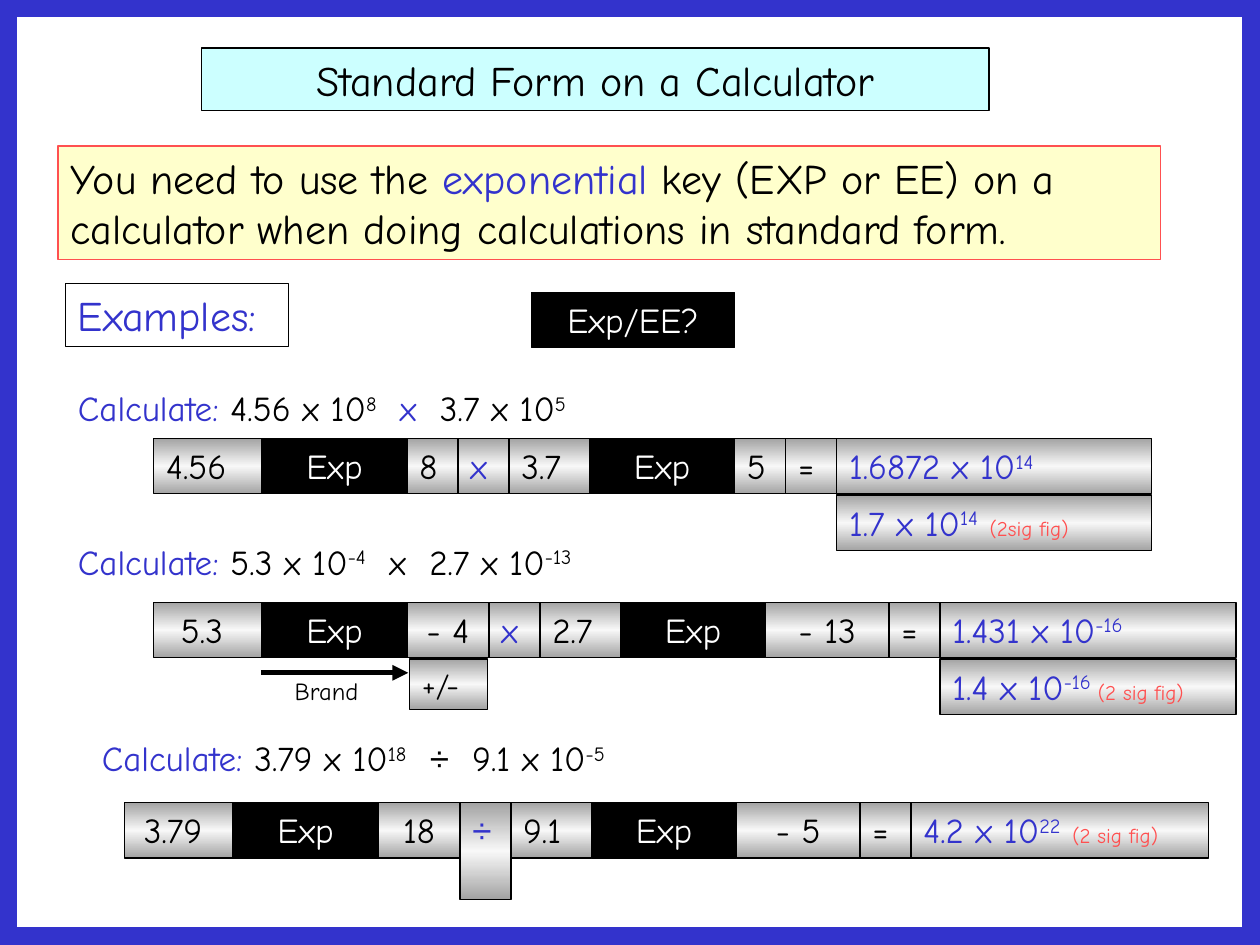
from copy import deepcopy
from typing import NamedTuple

from lxml import etree
from pptx import Presentation
from pptx.dml.color import RGBColor
from pptx.enum.shapes import MSO_CONNECTOR, MSO_SHAPE
from pptx.enum.text import MSO_ANCHOR, MSO_AUTO_SIZE, PP_ALIGN
from pptx.oxml.ns import qn
from pptx.util import Inches, Pt

RECTANGLE = MSO_SHAPE.RECTANGLE
STRAIGHT = MSO_CONNECTOR.STRAIGHT
TOP = MSO_ANCHOR.TOP
NO_FIT = MSO_AUTO_SIZE.NONE
LEFT, CENTER = PP_ALIGN.LEFT, PP_ALIGN.CENTER

BLACK = RGBColor(0x00, 0x00, 0x00)
WHITE = RGBColor(0xFF, 0xFF, 0xFF)
BLUE = RGBColor(0x33, 0x33, 0xCC)
RED = RGBColor(0xFF, 0x50, 0x50)
CYAN = RGBColor(0xCC, 0xFF, 0xFF)
CREAM = RGBColor(0xFF, 0xFF, 0xCC)
GRAY = RGBColor(0xA3, 0xA3, 0xA3)
SILVER = RGBColor(0xF8, 0xF8, 0xF8)
METAL = ((0, GRAY), (0.5, SILVER), (1, GRAY))

FONT = "Comic Neue"
SYMBOL_FONT = "Arial"

# Key sizes
KEY_HEIGHT = Inches(0.44)
ROW_STEP = Inches(0.45)
NUMBER = Inches(0.86)
EXP = Inches(1.15)
NARROW = Inches(0.81) // 2
SHORT = Inches(0.64)
SIGNED = Inches(0.65)
WIDE_SIGNED = Inches(0.98)


class Span(NamedTuple):
    text: str
    color: RGBColor = BLACK
    raised: bool = False
    size: int = 0
    font: str = FONT


def write(shape, spans, size=20, align=LEFT):
    frame = shape.text_frame
    frame.word_wrap = True
    frame.auto_size = NO_FIT
    frame.vertical_anchor = TOP
    para = frame.paragraphs[0]
    para.alignment = align
    for span in spans:
        run = para.add_run()
        run.text = span.text
        run.font.name = span.font
        run.font.size = Pt(span.size or size)
        run.font.color.rgb = span.color
        if span.raised:
            run.font._element.set("baseline", "30000")


def paint(shape, fill, line=BLACK, line_width=0.75):
    if fill is None:
        shape.fill.background()
    elif fill is METAL:
        shape.fill.gradient()
        stops = shape._element.spPr.find(".//" + qn("a:gsLst"))
        stops.append(deepcopy(stops[-1]))
        for stop, (position, color) in zip(shape.fill.gradient_stops, METAL):
            stop.position = position
            stop.color.rgb = color
        shape.fill.gradient_angle = 90
    else:
        shape.fill.solid()
        shape.fill.fore_color.rgb = fill
    shape.line.color.rgb = line
    shape.line.width = Pt(line_width)


def add_panel(page, box, fill, spans, size=20, align=LEFT, line=BLACK):
    panel = page.shapes.add_shape(RECTANGLE, *box)
    panel.shadow.inherit = False
    paint(panel, fill, line)
    write(panel, spans, size, align)


def add_label(page, box, spans, size=20):
    write(page.shapes.add_textbox(*box), spans, size)


def add_title(page, box):
    title = page.shapes.title
    title.left, title.top, title.width, title.height = box
    paint(title, CYAN)
    write(title, [Span("Standard Form on a Calculator")], 24, CENTER)


def add_introduction(page, box):
    add_panel(page, box, CREAM, [
        Span("You need to use the "),
        Span("exponential ", BLUE),
        Span("key (EXP or EE) on a calculator when doing calculations in standard form."),
    ], 24, line=RED)


def add_question(page, left, top, spans):
    add_label(page, (left, top, Inches(5.12), KEY_HEIGHT),
              [Span("Calculate:", BLUE), *spans])


def add_key_row(page, left, top, keys, answers, answer_width):
    """Keys in order, then the answers stacked at the end of the row."""
    for span, width, align, height in keys:
        fill = BLACK if span.color == WHITE else METAL
        add_panel(page, (left, top, width, height), fill, [span], align=align)
        left += width
    for index, spans in enumerate(answers):
        box = (left, top + index * ROW_STEP, answer_width, KEY_HEIGHT)
        add_panel(page, box, METAL, spans)


def key(text, width, align=LEFT):
    return Span(text), width, align, KEY_HEIGHT


def operator(text, font=FONT, height=KEY_HEIGHT):
    return Span(text, BLUE, font=font), NARROW, LEFT, height


def answer(number, power, note="", raised_gap=False):
    spans = [Span(number, BLUE), Span(power, BLUE, raised=True)]
    if note:
        spans += [Span(" ", BLUE, raised=raised_gap), Span(note, RED, size=12)]
    return spans


def add_sign_key(page, left, top):
    arrow_top = top + Inches(0.11)
    arrow = page.shapes.add_connector(
        STRAIGHT, left, arrow_top, left + Inches(1.17), arrow_top)
    arrow.line.color.rgb = BLACK
    arrow.line.width = Pt(3)
    etree.SubElement(arrow.line._get_or_add_ln(), qn("a:tailEnd"), type="triangle")
    etree.SubElement(arrow._element.spPr, qn("a:effectLst"))
    add_label(page, (left + Inches(0.17), top + Inches(0.09), Inches(1.01), Inches(0.34)),
              [Span("Brand")], 14)
    add_panel(page, (left + Inches(1.18), top, Inches(0.62), Inches(0.4)),
              METAL, [Span("+/-")], 18)


def add_frame(page, box):
    frame = page.shapes.add_shape(RECTANGLE, *box)
    frame.shadow.inherit = False
    paint(frame, None, BLUE, 20)


def main():
    deck = Presentation()
    deck.slide_width, deck.slide_height = Inches(10), Inches(7.5)
    page = deck.slides.add_slide(deck.slide_layouts[5])
    exp_key = (Span("Exp", WHITE), EXP, CENTER, KEY_HEIGHT)
    equals_key = key("=", NARROW)

    # Heading area
    add_title(page, (Inches(1.6), Inches(0.38), Inches(6.25), Inches(0.5)))
    add_introduction(page, (Inches(0.46), Inches(1.16), Inches(8.75), Inches(0.9)))
    add_panel(page, (Inches(0.52), Inches(2.25), Inches(1.77), Inches(0.5)),
              None, [Span("Examples:", BLUE)], 24)
    add_panel(page, (Inches(4.22), Inches(2.32), Inches(1.61), KEY_HEIGHT),
              BLACK, [Span("Exp/EE?", WHITE)], align=CENTER)

    # Positive powers
    add_question(page, Inches(0.52), Inches(3.02), [
        Span(" 4.56 x 10"), Span("8", raised=True), Span("  x", BLUE),
        Span("  3.7 x 10"), Span("5", raised=True)])
    add_key_row(page, Inches(1.22), Inches(3.48), [
        key("4.56", NUMBER), exp_key, key("8", NARROW), operator("x"),
        key("3.7", SHORT), exp_key, key("5", NARROW), equals_key,
    ], [answer("1.6872 x 10", "14"), answer("1.7 x 10", "14", "(2sig fig)")], Inches(2.5))

    # Negative powers
    add_question(page, Inches(0.52), Inches(4.24), [
        Span(" 5.3 x 10"), Span("-4", raised=True),
        Span("  x  2.7 x 10"), Span("-13", raised=True)])
    add_key_row(page, Inches(1.22), Inches(4.78), [
        key("5.3 ", NUMBER, CENTER), exp_key, key("- 4", SIGNED, CENTER), operator("x"),
        key("2.7", SHORT), exp_key, key("- 13", WIDE_SIGNED, CENTER), equals_key,
    ], [answer("1.431 x 10", "-16"),
        answer("1.4 x 10", "-16", "(2 sig fig)", raised_gap=True)], Inches(2.35))
    add_sign_key(page, Inches(2.07), Inches(5.23))

    # Division
    add_question(page, Inches(0.71), Inches(5.8), [
        Span(" 3.79 x 10"), Span("18", raised=True), Span("  "),
        Span("÷", font=SYMBOL_FONT), Span("  9.1 x 10"), Span("-5", raised=True)])
    add_key_row(page, Inches(0.99), Inches(6.37), [
        key("3.79 ", NUMBER, CENTER), exp_key, key("18", SIGNED, CENTER),
        operator("÷", SYMBOL_FONT, Inches(0.77)),
        key("9.1", SHORT), exp_key, key("- 5", WIDE_SIGNED, CENTER), equals_key,
    ], [answer("4.2 x 10", "22", "(2 sig fig)")], Inches(2.36))

    add_frame(page, (0, 0, deck.slide_width, deck.slide_height))
    deck.save("out.pptx")


if __name__ == "__main__":
    main()
